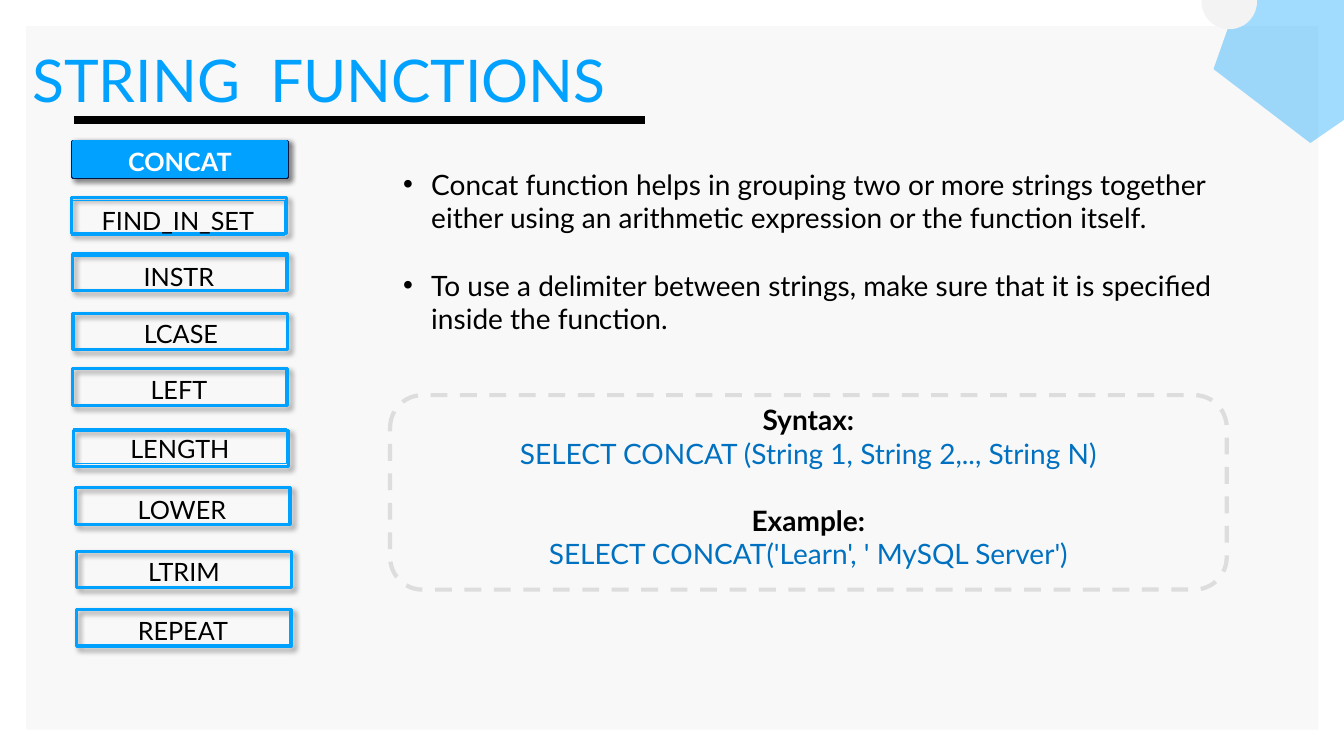
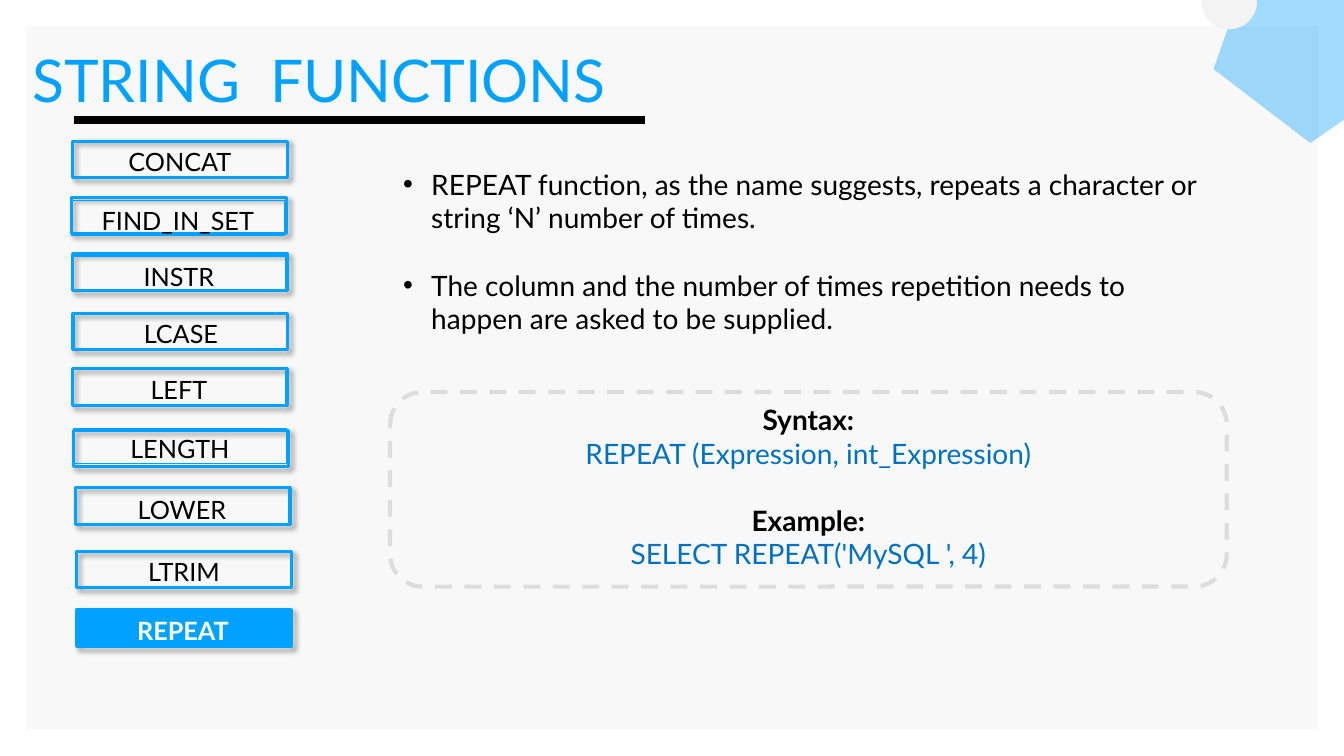
"""Build two slides on SQL string functions with a shared function menu."""
from lxml.etree import SubElement
from pptx import Presentation
from pptx.dml.color import RGBColor
from pptx.enum.dml import MSO_LINE
from pptx.enum.shapes import MSO_CONNECTOR, MSO_SHAPE
from pptx.enum.text import MSO_ANCHOR, PP_ALIGN
from pptx.oxml.ns import qn
from pptx.util import Inches, Pt

rgb = RGBColor.from_string
BLUE, CODE, BLACK, WHITE, NAVY = "00A1FF", "0070C0", "000000", "FFFFFF", "002060"
PANEL, CIRCLE, DASHES = "F8F8F8", "F3F3F3", "DDDDDD"

prs = Presentation()
prs.slide_width, prs.slide_height = Inches(13.33), Inches(7.5)
COL, ROW = prs.slide_width / 40, prs.slide_height / 30

TITLE = {"name": "Lato", "size": Pt(42)}
BODY = {"name": "Lato", "size": Pt(20), "bold": False}
HEAD = BODY | {"bold": True}
ITEM = {"name": "Lato", "size": Pt(18), "bold": False}
ACTIVE = ITEM | {"bold": True}
LEFT = {"alignment": PP_ALIGN.LEFT}
CENTER = {"alignment": PP_ALIGN.CENTER}
GAP = {"space_before": Pt(24)}
WIDE_GAP = {"space_before": Pt(48)}
INSETS = ("margin_left", "margin_top", "margin_right", "margin_bottom")

# name, frame column and row, label column and row
MENU = [
    ("CONCAT", 2.16, 5.6, 2.19, 5.6),
    ("FIND_IN_SET", 2.13, 7.84, 2.13, 7.96),
    ("INSTR", 2.16, 10.08, 2.16, 10.16),
    ("LCASE", 2.16, 12.44, 2.22, 12.44),
    ("LEFT", 2.16, 14.64, 2.16, 14.64),
    ("LENGTH", 2.19, 17.08, 2.19, 17),
    ("LOWER", 2.25, 19.36, 2.25, 19.4),
    ("LTRIM", 2.28, 21.88, 2.31, 21.88),
    ("REPEAT", 2.28, 24.2, 2.28, 24.2),
]

SLIDES = [
    {
        "active": "CONCAT", "edge": NAVY, "raised": True, "code_row": 15.68,
        "bullets": [
            "Concat function helps in grouping two or more strings together "
            "either using an arithmetic expression or the function itself.",
            "To use a delimiter between strings, make sure that it is "
            "specified inside the function.",
        ],
        "syntax": "SELECT CONCAT (String 1, String 2,.., String N)",
        "example": "SELECT CONCAT('Learn', ' MySQL Server')",
    },
    {
        "active": "REPEAT", "edge": BLUE, "raised": False, "code_row": 15.56,
        "bullets": [
            "REPEAT function, as the name suggests, repeats a character or "
            "string ‘N’ number of times.",
            "The column and the number of times repetition needs to happen "
            "are asked to be supplied.",
        ],
        "syntax": "REPEAT (Expression, int_Expression)",
        "example": "SELECT REPEAT('MySQL ', 4)",
    },
]


def box(s, kind, col, row, cols, rows, fill=None, line=None, pt=0, raised=False):
    sp = s.shapes.add_shape(kind, *(int(n) for n in (
        col * COL, row * ROW, cols * COL, rows * ROW)))
    sp.shadow.inherit = False
    if fill:
        sp.fill.solid()
        sp.fill.fore_color.rgb = rgb(fill)
    else:
        sp.fill.background()
    if line:
        sp.line.color.rgb = rgb(line)
        sp.line.width = Pt(pt)
    else:
        sp.line.fill.background()
    if raised:
        effects = sp._element.spPr.find(qn("a:effectLst"))
        shade = SubElement(effects, qn("a:outerShdw"), blurRad=str(Pt(4)),
                           dist=str(Pt(3)), dir="2700000", algn="tl", rotWithShape="0")
        tone = SubElement(shade, qn("a:srgbClr"), val=BLACK)
        SubElement(tone, qn("a:alpha"), val="40000")
    return sp


def write(sp, insets, paragraphs):
    tf = sp.text_frame
    tf.word_wrap = True
    tf.vertical_anchor = MSO_ANCHOR.TOP
    for side, inset in zip(INSETS, insets):
        setattr(tf, side, Inches(inset))
    for i, (text, font, color, layout, bullet) in enumerate(paragraphs):
        p = tf.add_paragraph() if i else tf.paragraphs[0]
        for key, value in layout.items():
            setattr(p, key, value)
        if bullet:
            pPr = p._p.get_or_add_pPr()
            pPr.set("marL", str(Inches(0.31)))
            pPr.set("indent", str(Inches(-0.28)))
            SubElement(SubElement(pPr, qn("a:buClr")), qn("a:srgbClr"), val=BLACK)
            SubElement(pPr, qn("a:buFont"), typeface="Arial")
            SubElement(pPr, qn("a:buChar"), char="•")
        r = p.add_run()
        r.text = text
        for key, value in font.items():
            setattr(r.font, key, value)
        r.font.color.rgb = rgb(color)


for page in SLIDES:
    s = prs.slides.add_slide(prs.slide_layouts[6])

    box(s, MSO_SHAPE.RECTANGLE, 0.78, 1.04, 38.46, 27.92, PANEL)
    pentagon = box(s, MSO_SHAPE.REGULAR_PENTAGON, 35.97, -2.48, 5.88, 7.44, BLUE)
    pentagon.rotation = 325.4
    tint = pentagon._element.spPr.find(qn("a:solidFill"))[0]
    SubElement(tint, qn("a:alpha"), val="37000")
    box(s, MSO_SHAPE.OVAL, 35.76, -1.04, 1.65, 2.2, CIRCLE)

    title = box(s, MSO_SHAPE.RECTANGLE, 0.96, 1.68, 39.04, 2.2)
    write(title, (0, 0.01, 0, 0), [("STRING  FUNCTIONS", TITLE, BLUE, LEFT, False)])
    rule = s.shapes.add_connector(MSO_CONNECTOR.STRAIGHT, int(2.19 * COL),
                                  int(4.76 * ROW), int(19.2 * COL), int(4.76 * ROW))
    rule.line.color.rgb = rgb(BLACK)
    rule.line.width = Pt(6)
    SubElement(rule._element.spPr, qn("a:effectLst"))

    first, second = page["bullets"]
    body = box(s, MSO_SHAPE.RECTANGLE, 11.61, 6.44, 24.9, 20)
    write(body, (0.1, 0.05, 0.1, 0.05), [
        (first, BODY, BLACK, LEFT, True),
        (second, BODY, BLACK, LEFT | GAP, True),
        ("Syntax:", HEAD, BLACK, CENTER | WIDE_GAP, False),
        (page["syntax"], BODY, CODE, CENTER, False),
        ("Example:", HEAD, BLACK, CENTER | GAP, False),
        (page["example"], BODY, CODE, CENTER, False),
    ])
    code = box(s, MSO_SHAPE.ROUNDED_RECTANGLE, 11.61, page["code_row"], 24.9, 7.72,
               line=DASHES, pt=3)
    code.line.dash_style = MSO_LINE.DASH

    for name, col, row, label_col, label_row in MENU:
        on = name == page["active"]
        raised = on and page["raised"]
        box(s, MSO_SHAPE.RECTANGLE, col, row, 6.39, 1.44,
            line=page["edge"] if on else BLUE, pt=2.25, raised=True)
        label = box(s, MSO_SHAPE.RECTANGLE, label_col, label_row, 6.33, 1.4,
                    BLUE if on else None, BLUE, 2.25 if raised else 0.75, raised)
        write(label, (0.1, 0.05, 0.1, 0.05), [
            (name, ACTIVE if on else ITEM, WHITE if on else BLACK, CENTER, False)])

prs.save("out.pptx")
